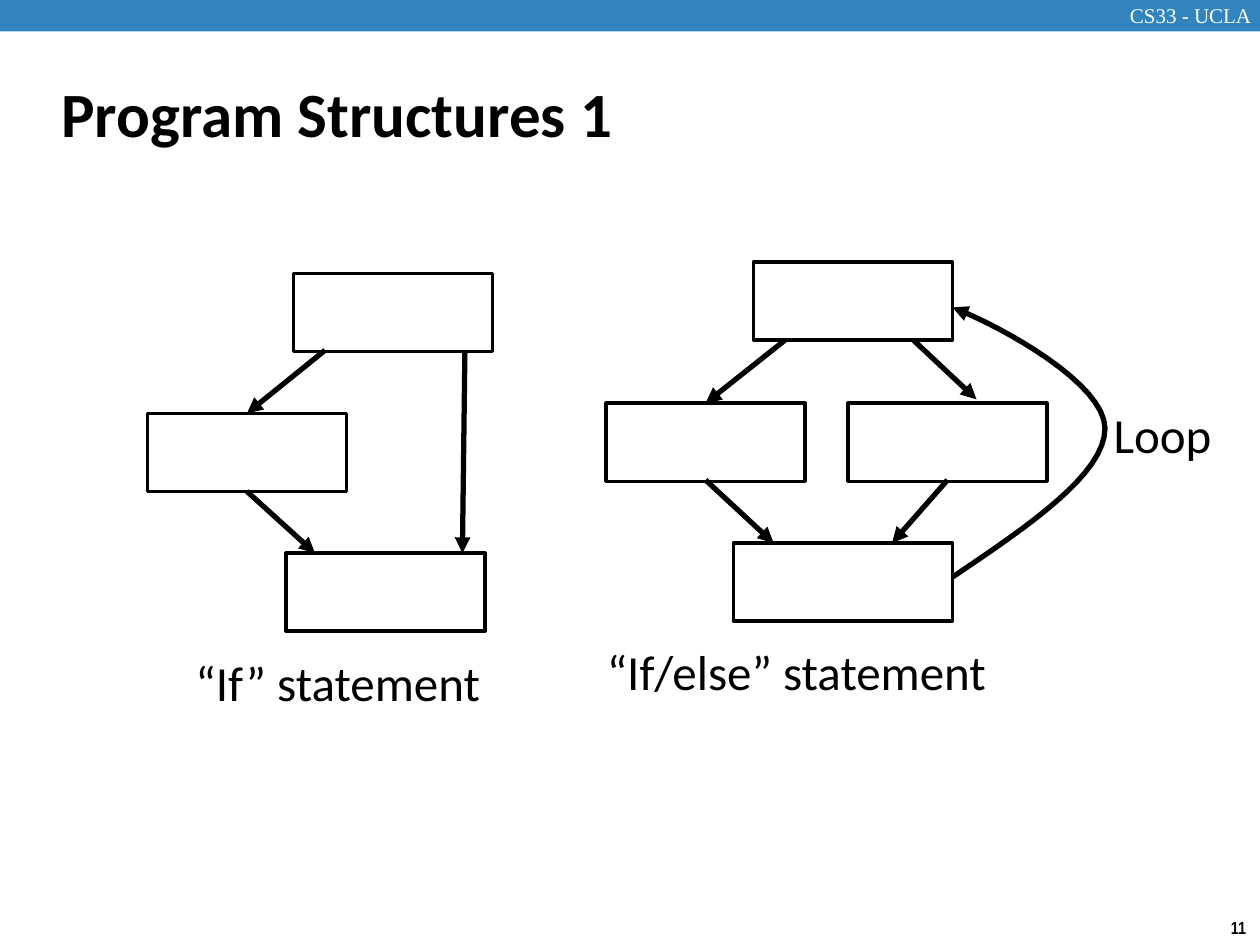
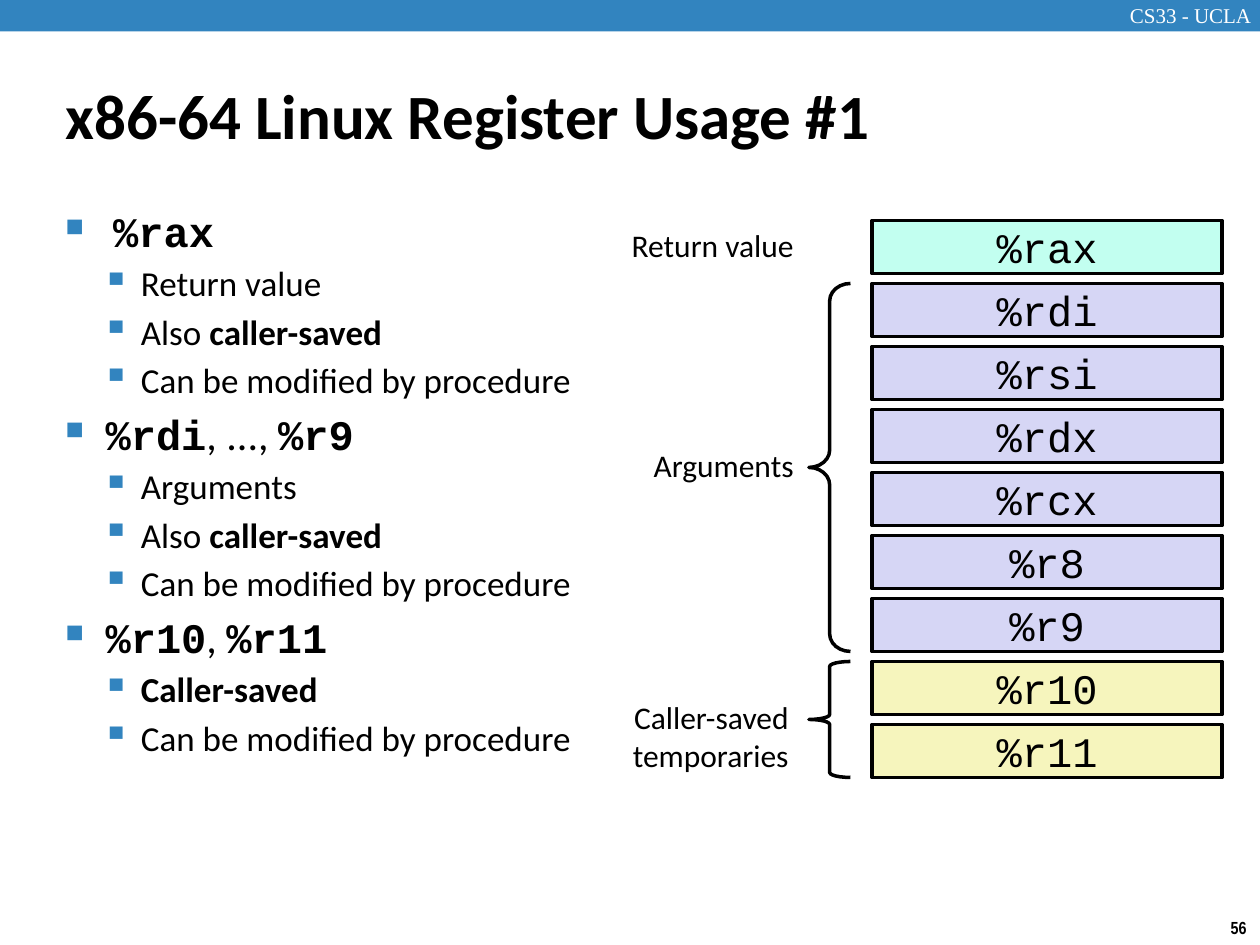
import pptx
import pptx.util
import pptx.dml.color
import pptx.enum.shapes
import pptx.enum.text
import pptx.oxml.ns
from lxml import etree

Inches, Pt = pptx.util.Inches, pptx.util.Pt
qn = pptx.oxml.ns.qn
RGB = pptx.dml.color.RGBColor.from_string
SHAPE = pptx.enum.shapes.MSO_SHAPE
STRAIGHT = pptx.enum.shapes.MSO_CONNECTOR.STRAIGHT
ALIGN = pptx.enum.text.PP_ALIGN
MIDDLE = pptx.enum.text.MSO_ANCHOR.MIDDLE

COLORS = {"band": "3284BF", "white": "FFFFFF", "black": "000000",
          "return": "C2FFF0", "argument": "D6D6F5", "temporary": "F6F5BD"}
BODY, CODE = "Calibri", "Courier New"


def add_text(sl, box, text, size, font=BODY, color="black", bold=False,
             align=ALIGN.LEFT, wrap=False, inset=(0.1, 0.05)):
    tb = sl.shapes.add_textbox(*map(Inches, box))
    tf = tb.text_frame
    tf.word_wrap = wrap
    tf.margin_left = tf.margin_right = Inches(inset[0])
    tf.margin_top = tf.margin_bottom = Inches(inset[1])
    tf.text = text
    for p in tf.paragraphs:
        p.alignment = align
        for r in p.runs:
            r.font.size, r.font.name, r.font.bold = Pt(size), font, bold
            r.font.color.rgb = RGB(COLORS[color])
    return tf


def outline(s, width, arrow=False):
    """Give a shape or connector a black line, no shadow and maybe an arrowhead."""
    s.line.color.rgb = RGB(COLORS["black"])
    s.line.width = Pt(width)
    if arrow:
        etree.SubElement(s.line._get_or_add_ln(), qn("a:tailEnd"), type="triangle")
    if hasattr(s, "shadow"):
        s.shadow.inherit = False
    else:
        etree.SubElement(s._element.spPr, qn("a:effectLst"))


prs = pptx.Presentation()
prs.slide_width, prs.slide_height = Inches(10), Inches(7.5)

# Shared frame: band, course label, page number, title
slides = []
for title, number, title_box in [
        ("Program Structures 1", "11", (0.39, 0.48, 8.3, 0.83)),
        ("x86-64 Linux Register Usage #1", "56", (0.42, 0.28, 7.08, 1.25))]:
    sl = prs.slides.add_slide(prs.slide_layouts[6])
    band = sl.shapes.add_shape(SHAPE.RECTANGLE, 0, 0, prs.slide_width, Inches(0.25))
    band.shadow.inherit = False
    band.fill.solid()
    band.fill.fore_color.rgb = RGB(COLORS["band"])
    band.line.fill.background()
    add_text(sl, (8.83, -0.03, 1.24, 0.3), "CS33 - UCLA", 12, "Times New Roman",
             "white", align=ALIGN.CENTER, wrap=True)
    add_text(sl, (9.66, 7.23, 0.34, 0.27), number, 10, "Arial Narrow",
             bold=True, align=ALIGN.CENTER)
    tf = add_text(sl, title_box, title, 36, bold=True, wrap=True)
    tf.vertical_anchor = MIDDLE
    slides.append(sl)
flow, registers = slides

# Slide 1: flow graphs of basic blocks
blocks = [(2.33, 2.17, 1.58), (1.17, 3.28, 1.58), (2.27, 4.39, 1.58),
          (5.98, 2.08, 1.58), (4.81, 3.2, 1.58), (6.73, 3.2, 1.58), (5.82, 4.31, 1.74)]
for x, y, w in blocks:
    s = flow.shapes.add_shape(SHAPE.RECTANGLE, *map(Inches, (x, y, w, 0.62)))
    s.fill.solid()
    s.fill.fore_color.rgb = RGB(COLORS["white"])
    outline(s, 2)

branches = [(2.58, 2.78, 1.96, 3.28), (3.69, 2.78, 3.67, 4.39), (1.96, 3.9, 2.5, 4.39),
            (6.23, 2.7, 5.6, 3.2), (7.25, 2.7, 7.75, 3.17),
            (5.6, 3.81, 6.14, 4.31), (7.52, 3.81, 7.08, 4.31)]
for ends in branches:
    outline(flow.shapes.add_connector(STRAIGHT, *map(Inches, ends)), 3, arrow=True)

loop_curves = [[(7.56, 4.58), (8.17, 4.17), (8.77, 3.76), (8.77, 3.4)],
               [(8.77, 3.4), (8.77, 3.05), (7.97, 2.6), (7.56, 2.44)]]
STEPS = 16
points = []
for curve in loop_curves:
    for i in range(1, STEPS + 1):
        t = i / STEPS
        weights = ((1 - t) ** 3, 3 * t * (1 - t) ** 2, 3 * t * t * (1 - t), t ** 3)
        points.append(tuple(Inches(sum(k * c for k, c in zip(weights, axis)))
                            for axis in zip(*curve)))
builder = flow.shapes.build_freeform(*map(Inches, loop_curves[0][0]))
builder.add_line_segments(points, close=False)
loop = builder.convert_to_shape()
loop.fill.background()
outline(loop, 3, arrow=True)

for box, label in [((1.44, 5.13, 2.48, 0.57), "“If” statement"),
                   ((4.7, 5.04, 3.24, 0.57), "“If/else” statement")]:
    add_text(flow, box, label, 28, align=ALIGN.CENTER)
add_text(flow, (8.74, 3.16, 1.26, 0.57), "Loop", 28, wrap=True)

# Slide 2: bullets; each item is (level, runs), each run (text, font, bold)
modified = (1, [("Can be modified by procedure", BODY, False)])
also_saved = (1, [("Also ", BODY, False), ("caller-saved", BODY, True)])
items = [
    (0, [("%rax", CODE, True)]),
    (1, [("Return value", BODY, False)]), also_saved, modified,
    (0, [("%rdi", CODE, True), (", ..., ", BODY, False), ("%r9", CODE, True)]),
    (1, [("Arguments", BODY, False)]), also_saved, modified,
    (0, [("%r10", CODE, True), (", ", BODY, False), ("%r11", CODE, True)]),
    (1, [("Caller-saved", BODY, True)]), modified,
]
# Per level: text size, left margin, hanging indent, bullet, bullet percent
levels = [(24, 0.32, 0.32, "■", 60), (20, 0.6, 0.31, "▪", 110)]
tf = add_text(registers, (0.42, 1.58, 4.44, 5.89), "", 24, wrap=True)
for i, (level, runs) in enumerate(items):
    size, margin, hanging, bullet, percent = levels[level]
    if i == 0:
        margin = hanging = 0.38
    p = tf.add_paragraph() if i else tf.paragraphs[0]
    p.level = level
    pPr = p._p.get_or_add_pPr()
    pPr.set("marL", str(Inches(margin)))
    pPr.set("indent", str(-Inches(hanging)))
    if i:
        p.space_before = Pt(round(size * 0.18, 1))
    color = etree.SubElement(pPr, qn("a:buClr"))
    etree.SubElement(color, qn("a:srgbClr"), val=COLORS["band"])
    etree.SubElement(pPr, qn("a:buSzPct"), val=str(percent * 1000))
    etree.SubElement(pPr, qn("a:buChar"), char=bullet)
    for text, font, bold in runs:
        r = p.add_run()
        r.text = text
        r.font.size, r.font.name, r.font.bold = Pt(size), font, bold
        r.font.color.rgb = RGB(COLORS["black"])

# Register stack
stack = [("return", ["%rax"]),
         ("argument", ["%rdi", "%rsi", "%rdx", "%rcx", "%r8", "%r9"]),
         ("temporary", ["%r10", "%r11"])]
y = 1.75
for role, names in stack:
    for name in names:
        s = registers.shapes.add_shape(SHAPE.RECTANGLE, *map(Inches, (6.92, y, 2.78, 0.42)))
        s.fill.solid()
        s.fill.fore_color.rgb = RGB(COLORS[role])
        outline(s, 2)
        tf = s.text_frame
        tf.margin_left = tf.margin_right = tf.margin_top = tf.margin_bottom = 0
        tf.vertical_anchor = MIDDLE
        tf.text = name
        p = tf.paragraphs[0]
        p.alignment = ALIGN.CENTER
        font = p.runs[0].font
        font.size, font.name = Pt(24), CODE
        font.color.rgb = RGB(COLORS["black"])
        y += 0.5

for top, height, curl in [(2.25, 2.92, 0.42), (5.25, 0.92, 0.12)]:
    brace = registers.shapes.add_shape(SHAPE.LEFT_BRACE, *map(Inches, (6.42, top, 0.33, height)))
    brace.adjustments[0] = curl
    brace.fill.background()
    outline(brace, 2)

for box, label in [((4.95, 1.75, 1.39, 0.39), "Return value"),
                   ((5.13, 3.5, 1.21, 0.39), "Arguments"),
                   ((4.91, 5.5, 1.39, 0.69), "Caller-saved\ntemporaries")]:
    add_text(registers, box, label, 18, align=ALIGN.RIGHT, inset=(0.04, 0.04))

prs.save("out.pptx")
